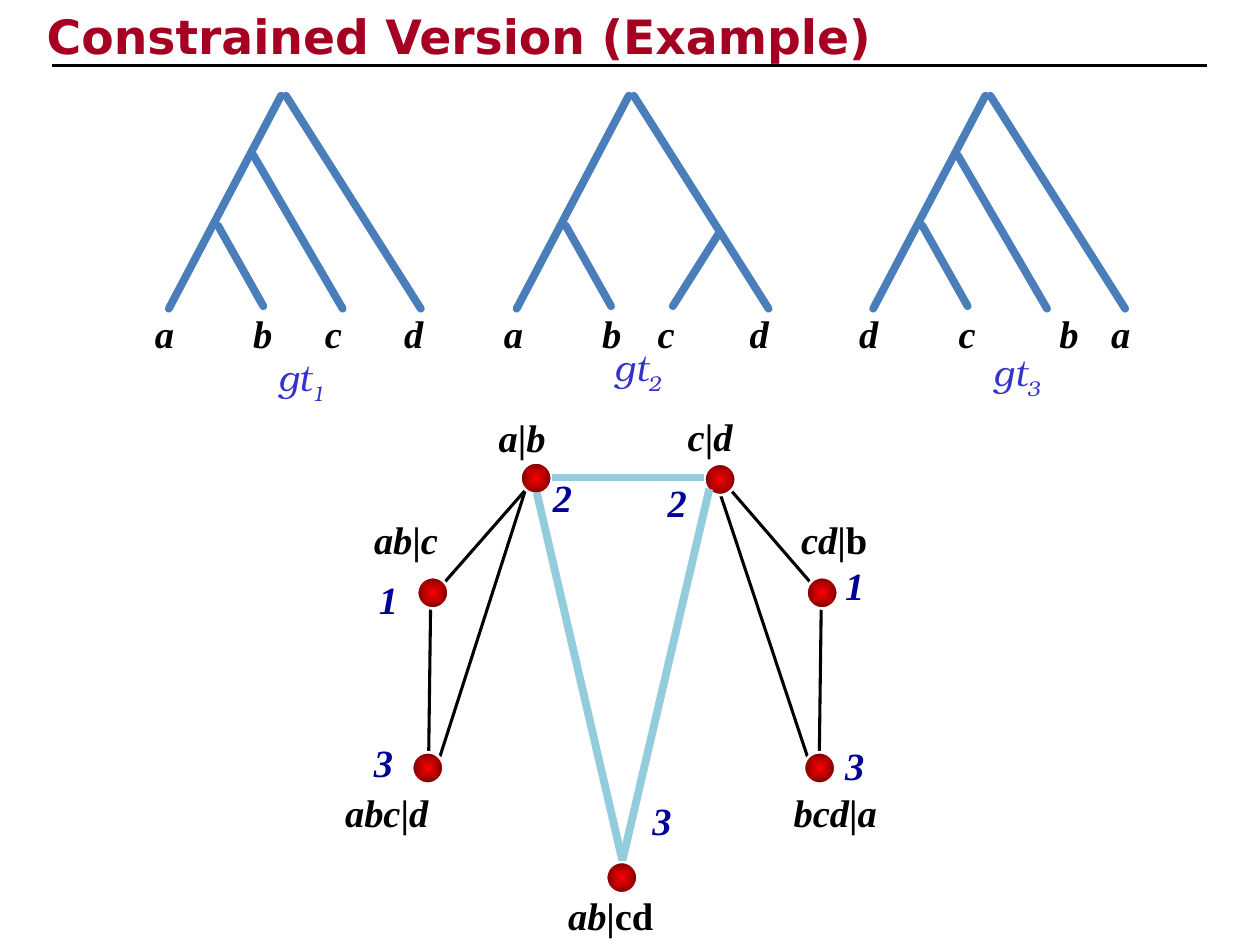
"""Build the slide on the constrained version: three gene trees and their split graph."""
from dataclasses import dataclass
from typing import NamedTuple

import lxml.etree
import pptx
import pptx.dml.color
import pptx.enum.shapes
import pptx.enum.text
import pptx.oxml.ns
import pptx.util

SCALE = 9144


@dataclass(frozen=True)
class Theme:
    title: str = "A50021"
    ink: str = "000000"
    tree: str = "4A7EBB"
    name: str = "3333CC"
    count: str = "000099"
    glow: str = "93CDDD"
    core: str = "FF0000"
    rim: str = "760000"
    paper: str = "FFFFFF"
    head: str = "DejaVu Sans"
    body: str = "Times New Roman"
    script: str = "TeX Gyre Bonum"
    head_size: int = 27
    body_size: int = 22
    name_size: int = 21
    thick: float = 4.5
    rule: float = 2.25
    thin: float = 1.75
    ring: float = 1.5


class Run(NamedTuple):
    text: str
    slant: bool = True
    base: int = 0


class Style(NamedTuple):
    font: str
    size: int
    color: str
    bold: bool = True


class Line(NamedTuple):
    x1: int
    y1: int
    x2: int
    y2: int


class Leaf(NamedTuple):
    text: str
    x: int


class Tree(NamedTuple):
    x: int
    lines: tuple[Line, ...]
    leaves: tuple[Leaf, ...]
    mark: str
    mark_x: int
    mark_y: int


class Label(NamedTuple):
    x: int
    y: int
    width: int
    runs: tuple[Run, ...]
    height: int = 47


class Count(NamedTuple):
    x: int
    y: int
    text: str


class Node(NamedTuple):
    x: int
    y: int


THEME = Theme()
HEAD = Style(THEME.head, THEME.head_size, THEME.title)
BODY = Style(THEME.body, THEME.body_size, THEME.ink)
COUNT = Style(THEME.body, THEME.body_size, THEME.count)
NAME = Style(THEME.script, THEME.name_size, THEME.name, False)

BASE = (Line(0, 245, 89, 76), Line(39, 179, 75, 243), Line(93, 76, 200, 245))
COMB = BASE + (Line(67, 123, 138, 245),)
FORK = BASE + (Line(160, 186, 124, 243),)
BAR = Run("|", False)

TREES = (
    Tree(134, COMB, (Leaf("a", 113), Leaf("b", 191), Leaf("c", 248), Leaf("d", 311)), "1", 211, 277),
    Tree(410, FORK, (Leaf("a", 390), Leaf("b", 468), Leaf("c", 512), Leaf("d", 585)), "2", 478, 269),
    Tree(693, COMB, (Leaf("d", 672), Leaf("c", 751), Leaf("b", 831), Leaf("a", 872)), "3", 779, 273),
)
NODES = (Node(413, 367), Node(559, 368), Node(331, 458), Node(640, 458),
         Node(327, 597), Node(638, 597), Node(481, 684))
EDGES = (Line(342, 464, 340, 617), Line(652, 465, 650, 618), Line(417, 389, 353, 462),
         Line(643, 462, 580, 389), Line(417, 389, 349, 601), Line(572, 393, 641, 601))
CLIQUE = (Line(559, 379, 438, 379), Line(426, 391, 494, 683), Line(563, 388, 494, 683))
LABELS = (
    Label(386, 324, 79, (Run("a"), BAR, Run("b"))),
    Label(536, 323, 79, (Run("c"), BAR, Run("d"))),
    Label(287, 405, 102, (Run("ab"), BAR, Run("c"))),
    Label(626, 405, 107, (Run("cd"), Run("|b", False))),
    Label(264, 621, 102, (Run("abc"), BAR, Run("d")), 84),
    Label(620, 621, 116, (Run("bcd"), BAR, Run("a"))),
    Label(441, 703, 118, (Run("ab"), Run("|cd", False))),
)
COUNTS = (Count(429, 371, "2"), Count(520, 375, "2"), Count(291, 452, "1"), Count(661, 441, "1"),
          Count(287, 582, "3"), Count(661, 584, "3"), Count(508, 628, "3"))


def px(size: int) -> pptx.util.Emu:
    """Turn px into EMU."""
    return pptx.util.Emu(size * SCALE)


def rgb(code: str) -> pptx.dml.color.RGBColor:
    """Turn a hex code into a colour."""
    return pptx.dml.color.RGBColor.from_string(code)


def write(frame, runs: tuple[Run, ...], style: Style) -> None:
    """Add the runs to the first paragraph of a frame."""
    line = frame.paragraphs[0]
    line.alignment = pptx.enum.text.PP_ALIGN.LEFT
    for item in runs:
        run = line.add_run()
        run.text = item.text
        font = run.font
        font.name, font.size = style.font, pptx.util.Pt(style.size)
        font.bold, font.italic = style.bold, item.slant
        font.color.rgb = rgb(style.color)
        if item.base:
            run._r.get_or_add_rPr().set("baseline", str(item.base * 1000))


def put_label(slide, label: Label, style: Style) -> None:
    """Place one text box."""
    box = slide.shapes.add_textbox(px(label.x), px(label.y), px(label.width), px(label.height))
    box.text_frame.word_wrap = True
    write(box.text_frame, label.runs, style)


def put_line(slide, line: Line, color: str, width: float, cap: str = "flat") -> None:
    """Draw one straight line."""
    kind = pptx.enum.shapes.MSO_CONNECTOR.STRAIGHT
    item = slide.shapes.add_connector(kind, *map(px, line))
    item.line.color.rgb = rgb(color)
    item.line.width = pptx.util.Pt(width)
    props = item.element.spPr
    props.find(pptx.oxml.ns.qn("a:ln")).set("cap", cap)
    lxml.etree.SubElement(props, pptx.oxml.ns.qn("a:effectLst"))


def put_node(slide, node: Node) -> None:
    """Draw one graph node with a glow from its centre."""
    kind = pptx.enum.shapes.MSO_SHAPE.OVAL
    dot = slide.shapes.add_shape(kind, px(node.x), px(node.y), px(25), px(25))
    dot.shadow.inherit = False
    dot.line.color.rgb = rgb(THEME.paper)
    dot.line.width = pptx.util.Pt(THEME.ring)
    dot.fill.gradient()
    for stop, color, place in zip(dot.fill.gradient_stops, (THEME.core, THEME.rim), (0, 1)):
        stop.color.rgb, stop.position = rgb(color), place
    qn = pptx.oxml.ns.qn
    grad = dot.element.spPr.find(qn("a:gradFill"))
    grad.remove(grad.find(qn("a:lin")))
    shade = lxml.etree.SubElement(grad, qn("a:path"), {"path": "rect"})
    lxml.etree.SubElement(shade, qn("a:fillToRect"), dict.fromkeys("ltrb", "50000"))


def put_tree(slide, tree: Tree) -> None:
    """Draw one gene tree with its leaves and name."""
    for line in tree.lines:
        moved = Line(tree.x + line.x1, line.y1, tree.x + line.x2, line.y2)
        put_line(slide, moved, THEME.tree, THEME.thick, "rnd")
    for leaf in tree.leaves:
        put_label(slide, Label(leaf.x, 241, 42, (Run(leaf.text),)), BODY)
    runs = (Run("gt"), Run(tree.mark, base=-25))
    put_label(slide, Label(tree.mark_x, tree.mark_y, 60, runs, 50), NAME)


def put_title(slide) -> None:
    """Fill the title placeholder and rule it off."""
    title = slide.shapes.title
    title.left, title.top, title.width, title.height = map(px, (27, -3, 882, 67))
    frame = title.text_frame
    frame.auto_size = pptx.enum.text.MSO_AUTO_SIZE.NONE
    frame.vertical_anchor = pptx.enum.text.MSO_ANCHOR.TOP
    frame.margin_top = px(9)
    write(frame, (Run("Constrained Version (Example)", False),), HEAD)
    put_line(slide, Line(41, 52, 958, 52), THEME.ink, THEME.rule)


def main() -> None:
    """Build and save the slide."""
    deck = pptx.Presentation()
    deck.slide_width, deck.slide_height = px(1000), px(750)
    slide = deck.slides.add_slide(deck.slide_layouts[5])
    put_title(slide)
    for tree in TREES:
        put_tree(slide, tree)
    for edge in EDGES + CLIQUE:
        put_line(slide, edge, THEME.ink, THEME.thin)
    for node in NODES:
        put_node(slide, node)
    for edge in CLIQUE:
        put_line(slide, edge, THEME.glow, THEME.thick)
    for label in LABELS:
        put_label(slide, label, BODY)
    for count in COUNTS:
        put_label(slide, Label(count.x, count.y, 40, (Run(count.text),)), COUNT)
    deck.save("out.pptx")


if __name__ == "__main__":
    main()
